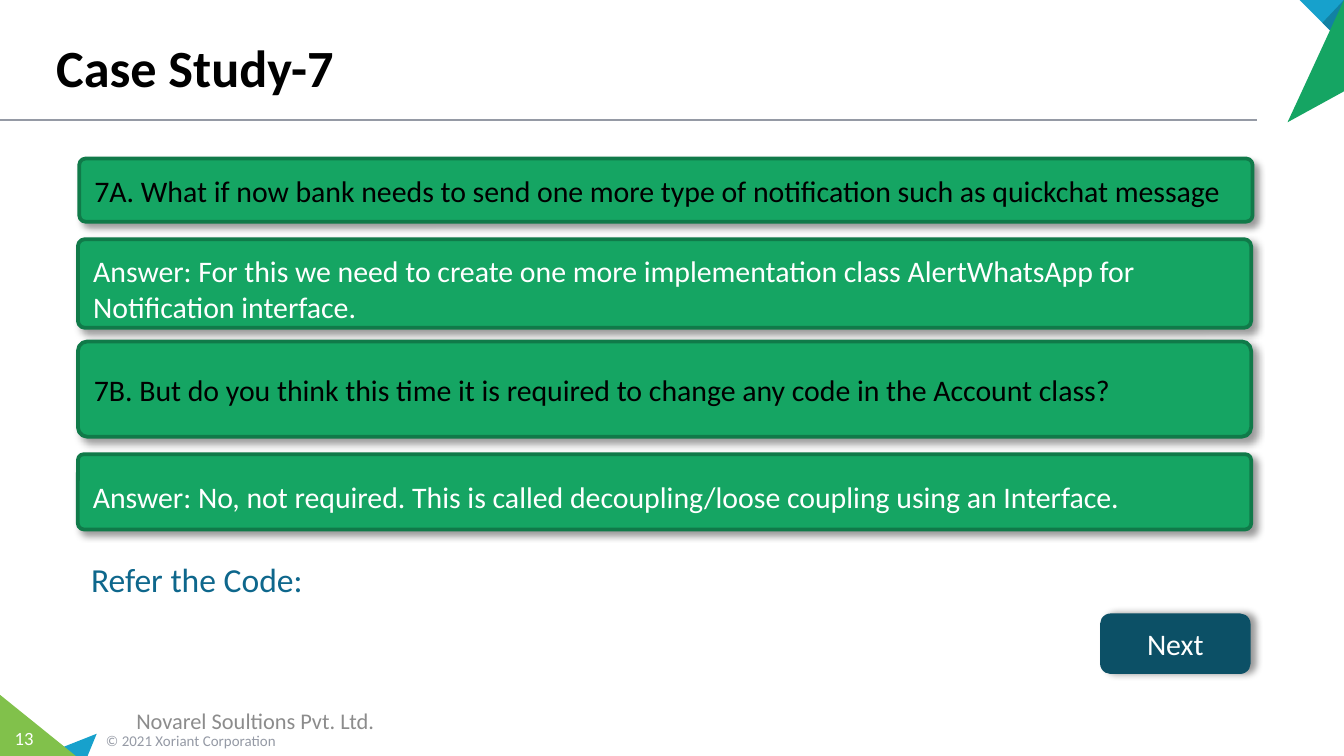
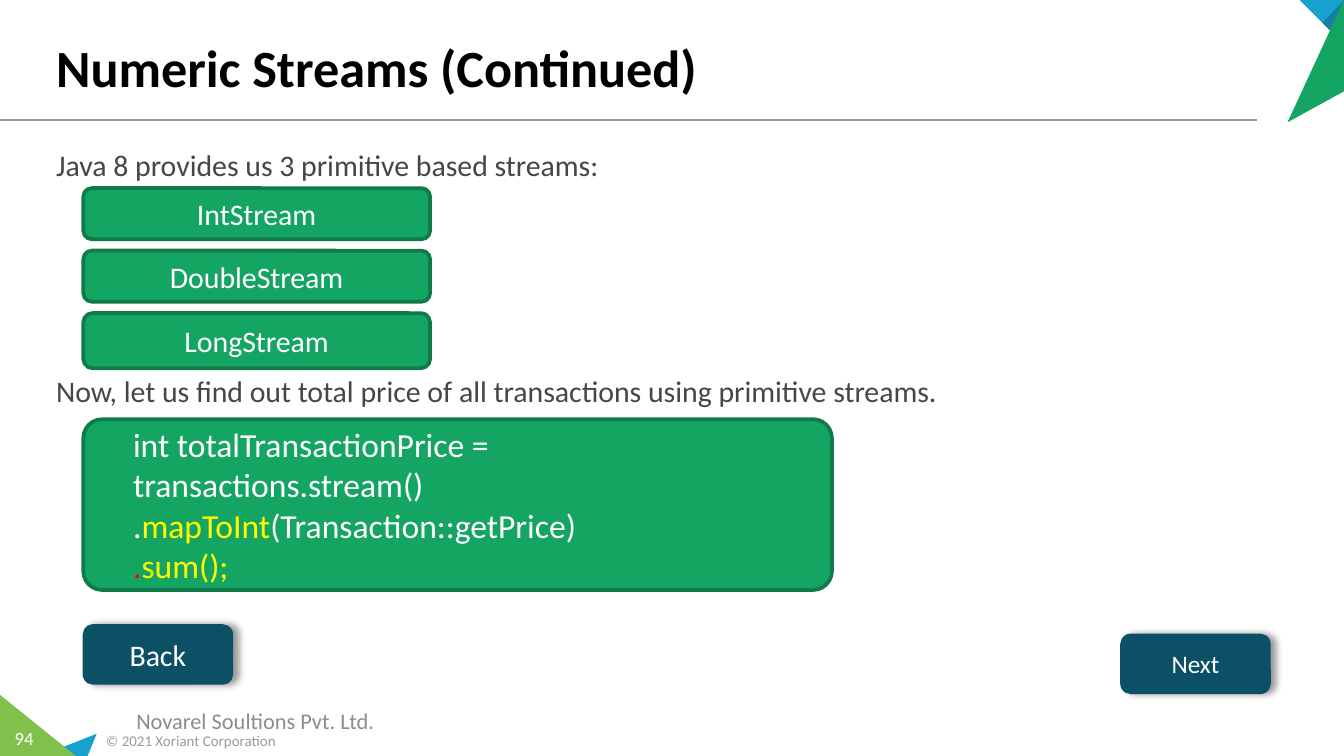
"""Build two training slides: an interface case study and numeric streams."""
from dataclasses import dataclass
from typing import NamedTuple, Optional

from lxml.etree import SubElement
from pptx import Presentation
from pptx.dml.color import RGBColor
from pptx.enum.shapes import MSO_CONNECTOR as Connector, MSO_SHAPE as Preset
from pptx.enum.text import MSO_ANCHOR as Anchor, PP_ALIGN as Align
from pptx.oxml.ns import qn
from pptx.util import Inches, Pt


@dataclass(frozen=True)
class Theme:
    font: str = "Calibri"
    black: str = "000000"
    white: str = "FFFFFF"
    body: str = "44464B"
    grey: str = "959AA5"
    footer: str = "8C8C8C"
    green: str = "15A563"
    green_edge: str = "107A49"
    lime: str = "81C14B"
    sky: str = "17A1CC"
    sky_dark: str = "1281A3"
    navy: str = "0C5066"
    link: str = "0E678C"
    yellow: str = "FFFF00"
    red: str = "FF0000"
    title_size: float = 28
    large_size: float = 18
    text_size: float = 16
    small_button_size: float = 13.5
    footer_size: float = 12
    number_size: float = 10
    copyright_size: float = 8


THEME = Theme()


class Box(NamedTuple):
    left: float
    top: float
    width: float
    height: float


class Span(NamedTuple):
    text: str
    color: str


class Triangle(NamedTuple):
    points: tuple
    color: str


class Shadow(NamedTuple):
    angle: int
    blur: float = 4
    distance: float = 3
    opacity: int = 40


@dataclass(frozen=True)
class Style:
    size: float = THEME.text_size
    color: str = THEME.white
    bold: bool = False
    align: Align = Align.LEFT
    anchor: Anchor = Anchor.MIDDLE
    side_inset: float = 0.1
    top_inset: float = 0.05
    space_after: float = 0


@dataclass(frozen=True)
class Card:
    box: Box
    lines: tuple
    style: Style = Style()
    fill: str = THEME.green
    edge: str = THEME.green_edge
    edge_width: float = 2
    radius: Optional[float] = None
    shadow: Optional[Shadow] = None


CORNERS = (
    Triangle(((0.72, 5.46), (0.65, 5.63), (0.29, 5.63)), THEME.sky),
    Triangle(((0, 5.17), (0.57, 5.63), (0, 5.63)), THEME.lime),
    Triangle(((9.67, 0), (10, 0), (10, 0.33)), THEME.sky),
    Triangle(((9.84, 0.17), (10, 0), (10, 0.33)), THEME.sky_dark),
    Triangle(((9.58, 0.91), (10, 0), (10, 0.68)), THEME.green),
)
CARD_SHADOW = Shadow(45)
BUTTON_SHADOW = Shadow(0)


def rgb(color: str) -> RGBColor:
    """Turn a hex string into a colour."""
    return RGBColor.from_string(color)


def place(box: Box) -> tuple:
    """Convert a box to lengths."""
    return tuple(Inches(value) for value in box)


def write(text_frame, lines: tuple, style: Style) -> None:
    """Fill a text frame with lines, each a string or a tuple of spans."""
    text_frame.word_wrap = True
    text_frame.vertical_anchor = style.anchor
    text_frame.margin_left = text_frame.margin_right = Inches(style.side_inset)
    text_frame.margin_top = Inches(style.top_inset)
    for index, line in enumerate(lines):
        paragraph = text_frame.add_paragraph() if index else text_frame.paragraphs[0]
        paragraph.alignment = style.align
        if style.space_after and index < len(lines) - 1:
            paragraph.space_after = Pt(style.space_after)
        spans = (Span(line, style.color),) if isinstance(line, str) else line
        for span in spans:
            run = paragraph.add_run()
            run.text = span.text
            run.font.name = THEME.font
            run.font.size = Pt(style.size)
            run.font.bold = style.bold
            run.font.color.rgb = rgb(span.color)


def add_text(slide, box: Box, lines: tuple, style: Style) -> None:
    """Add a text box."""
    write(slide.shapes.add_textbox(*place(box)).text_frame, lines, style)


def add_shadow(shape, shadow: Shadow) -> None:
    """Give a shape a soft outer shadow."""
    effects = shape._element.spPr.find(qn("a:effectLst"))
    outer = SubElement(
        effects, qn("a:outerShdw"), blurRad=str(Pt(shadow.blur)),
        dist=str(Pt(shadow.distance)), dir=str(shadow.angle * 60000),
        algn="tl", rotWithShape="0")
    color = SubElement(outer, qn("a:srgbClr"), val=THEME.black)
    SubElement(color, qn("a:alpha"), val=str(shadow.opacity * 1000))


def add_card(slide, card: Card) -> None:
    """Add a rounded card with its text."""
    shape = slide.shapes.add_shape(Preset.ROUNDED_RECTANGLE, *place(card.box))
    if card.radius is not None:
        shape.adjustments[0] = card.radius
    shape.fill.solid()
    shape.fill.fore_color.rgb = rgb(card.fill)
    shape.line.color.rgb = rgb(card.edge)
    shape.line.width = Pt(card.edge_width)
    shape.shadow.inherit = False
    if card.shadow:
        add_shadow(shape, card.shadow)
    write(shape.text_frame, card.lines, card.style)


def add_button(slide, label: str, left: float, top: float,
               size: float = THEME.text_size) -> None:
    """Add a navigation button."""
    add_card(slide, Card(
        Box(left, top, 1.11, 0.44), (label,), Style(size, align=Align.CENTER),
        THEME.navy, THEME.navy, 0.75, shadow=BUTTON_SHADOW))


def add_triangle(slide, triangle: Triangle) -> None:
    """Add a corner triangle."""
    start, *rest = [(Inches(x), Inches(y)) for x, y in triangle.points]
    builder = slide.shapes.build_freeform(*start)
    builder.add_line_segments(rest, close=True)
    shape = builder.convert_to_shape()
    shape.fill.solid()
    shape.fill.fore_color.rgb = rgb(triangle.color)
    shape.line.fill.background()
    shape.shadow.inherit = False


def add_base_slide(presentation, title: str, number: int):
    """Add a slide with the shared rule, corners, footers and title."""
    slide = presentation.slides.add_slide(presentation.slide_layouts[6])
    rule = slide.shapes.add_connector(
        Connector.STRAIGHT, 0, Inches(0.89), Inches(9.35), Inches(0.89))
    rule.line.color.rgb = rgb(THEME.grey)
    rule.line.width = Pt(1)
    SubElement(rule._element.spPr, qn("a:effectLst"))
    for triangle in CORNERS:
        add_triangle(slide, triangle)
    add_text(slide, Box(0.69, 5.39, 2.33, 0.24), ("© 2021 Xoriant Corporation",),
             Style(THEME.copyright_size, THEME.grey))
    add_text(slide, Box(0, 5.36, 0.36, 0.27), (str(number),),
             Style(THEME.number_size, align=Align.CENTER, anchor=Anchor.TOP,
                   side_inset=0))
    add_text(slide, Box(0.32, 0.06, 9, 0.72), (title,),
             Style(THEME.title_size, THEME.black, bold=True, anchor=Anchor.BOTTOM))
    add_text(slide, Box(0, 5.21, 3.8, 0.3), ("Novarel Soultions Pvt. Ltd.",),
             Style(THEME.footer_size, THEME.footer, align=Align.CENTER))
    return slide


def build_case_study(presentation) -> None:
    """Build the case study slide."""
    slide = add_base_slide(presentation, "Case Study-7", 13)
    question = Style(color=THEME.black)
    answer = Style(top_inset=0.12)
    cards = (
        (0.58, 1.78, 0.66, 0.083, answer,
         "Answer: For this we need to create one more implementation class "
         "AlertWhatsApp for Notification interface."),
        (0.58, 3.38, 0.56, 0.083, answer,
         "Answer: No, not required. This is called decoupling/loose coupling "
         "using an Interface."),
        (0.58, 2.54, 0.71, 0.102, question,
         "7B. But do you think this time it is required to change any code in "
         "the Account class?"),
        (0.59, 1.18, 0.47, 0.102, question,
         "7A. What if now bank needs to send one more type of notification "
         "such as quickchat message"),
    )
    for left, top, height, radius, style, text in cards:
        add_card(slide, Card(Box(left, top, 8.73, height), (text,), style,
                             radius=round(radius, 2), shadow=CARD_SHADOW))
    add_button(slide, "Next", 8.19, 4.57)
    add_text(slide, Box(0.58, 4.11, 5, 0.4), ("Refer the Code:",),
             Style(THEME.large_size, THEME.link, anchor=Anchor.TOP))


def build_numeric_streams(presentation) -> None:
    """Build the numeric streams slide."""
    slide = add_base_slide(presentation, "Numeric Streams (Continued)", 94)
    add_text(slide, Box(0.32, 1.04, 9.17, 4.27), (
        "Java 8 provides us 3 primitive based streams:",
        "Now, let us find out total price of all transactions using primitive streams.",
    ), Style(color=THEME.body, anchor=Anchor.TOP, space_after=102))
    code = (
        "int totalTransactionPrice = transactions.stream()",
        (Span(".", THEME.white), Span("mapToInt", THEME.yellow),
         Span("(Transaction::getPrice)", THEME.white)),
        (Span(".", THEME.red), Span("sum();", THEME.yellow)),
    )
    add_card(slide, Card(Box(0.62, 3.12, 5.57, 1.27), code,
                         Style(THEME.large_size, side_inset=0.33), radius=0.11))
    add_button(slide, "Next", 8.34, 4.72, THEME.small_button_size)
    add_button(slide, "Back", 0.62, 4.65)
    streams = (("IntStream", 0.38), ("DoubleStream", 0.38), ("LongStream", 0.41))
    for index, (name, height) in enumerate(streams):
        add_card(slide, Card(Box(0.62, 1.4 + 0.465 * index, 2.58, height), (name,),
                             Style(align=Align.CENTER)))


def main() -> None:
    """Build and save the presentation."""
    presentation = Presentation()
    presentation.slide_width = Inches(10)
    presentation.slide_height = Inches(10) * 9 // 16
    build_case_study(presentation)
    build_numeric_streams(presentation)
    presentation.save("out.pptx")


if __name__ == "__main__":
    main()
